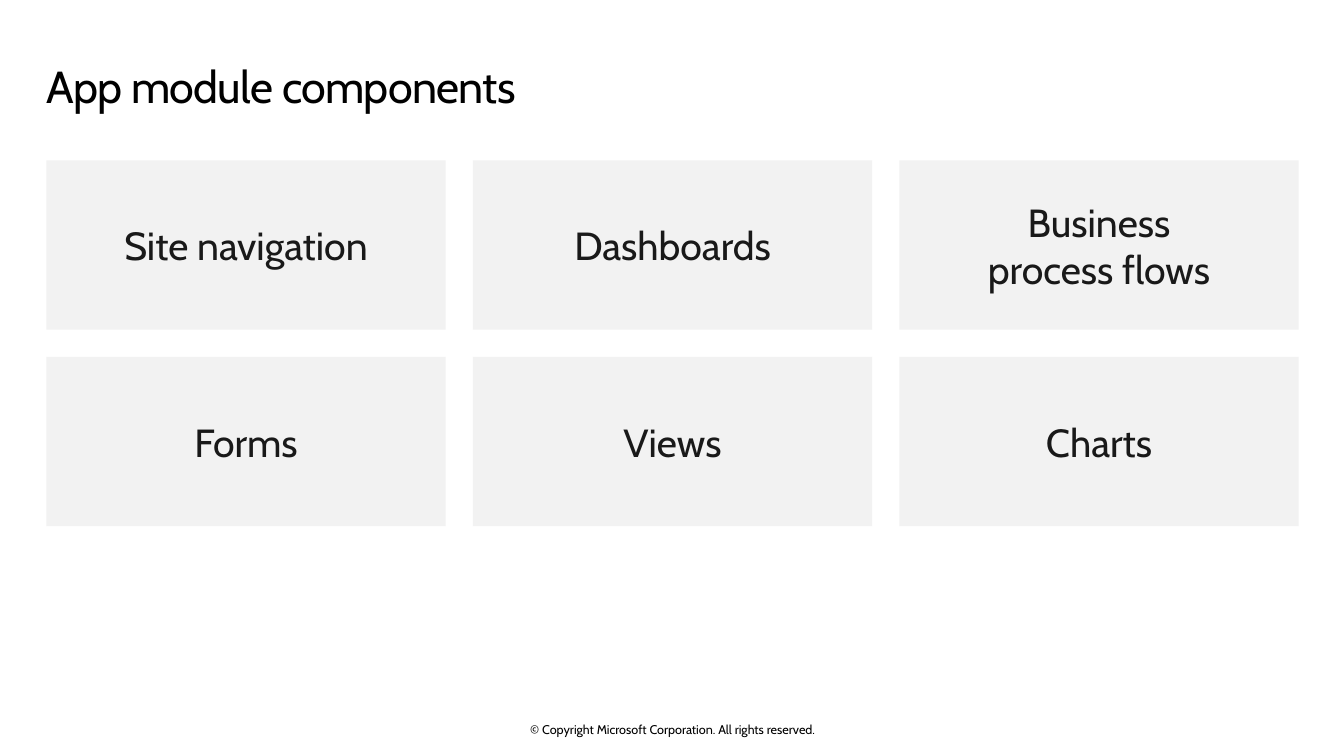
"""Builds a slide with a grid of app module components."""
from pptx import Presentation
from pptx.dml.color import RGBColor
from pptx.enum.shapes import MSO_SHAPE
from pptx.enum.text import MSO_ANCHOR, MSO_AUTO_SIZE, PP_ALIGN
from pptx.util import Inches, Pt

RECT = MSO_SHAPE.RECTANGLE
TOP, MIDDLE = MSO_ANCHOR.TOP, MSO_ANCHOR.MIDDLE
LEFT, CENTER = PP_ALIGN.LEFT, PP_ALIGN.CENTER
NO_FIT = MSO_AUTO_SIZE.NONE
BLACK = RGBColor(0x00, 0x00, 0x00)
INK = RGBColor(0x19, 0x19, 0x19)
GRAY = RGBColor(0xF2, 0xF2, 0xF2)
FONT = "Cabin"


def write(shape, text, size, color=BLACK, align=CENTER, anchor=MIDDLE,
          inset=(0, 0, 0, 0), track=0):
    frame = shape.text_frame
    frame.auto_size = NO_FIT
    frame.word_wrap = True
    frame.vertical_anchor = anchor
    (frame.margin_left, frame.margin_top,
     frame.margin_right, frame.margin_bottom) = map(Inches, inset)
    line = frame.paragraphs[0]
    line.text = text
    line.alignment = align
    for run in line.runs:
        run.font.name = FONT
        run.font.size = Pt(size)
        run.font.color.rgb = color
        if track:
            run.font._element.set("spc", str(int(track * 100)))


deck = Presentation()
deck.slide_width, deck.slide_height = Inches(13.33), Inches(7.5)
slide = deck.slides.add_slide(deck.slide_layouts[5])

title = slide.shapes.title
title.left, title.top = Inches(0.46), Inches(0.48)
title.width, title.height = Inches(12.4), Inches(0.74)
write(title, "App module components", 32, align=LEFT, anchor=TOP,
      inset=(0, 0.1, 0.16, 0.1), track=-0.5)

GRID = [
    ["Site navigation", "Dashboards", "Business\nprocess flows"],
    ["Forms", "Views", "Charts"],
]
GRID_X, GRID_Y = 0.46, 1.59
CARD_W, CARD_H, GAP = 3.96, 1.68, 0.27

for row, names in enumerate(GRID):
    for col, name in enumerate(names):
        card = slide.shapes.add_shape(
            RECT,
            Inches(GRID_X + col * (CARD_W + GAP)),
            Inches(GRID_Y + row * (CARD_H + GAP)),
            Inches(CARD_W), Inches(CARD_H))
        card.shadow.inherit = False
        card.fill.solid()
        card.fill.fore_color.rgb = GRAY
        card.line.fill.background()
        write(card, name, 28, color=INK, inset=(0.1, 0.05, 0.1, 0.05))

footer = slide.shapes.add_textbox(
    Inches(4.42), Inches(7.16), Inches(4.5), Inches(0.15))
write(footer, "© Copyright Microsoft Corporation. All rights reserved.", 9)

deck.save("out.pptx")
